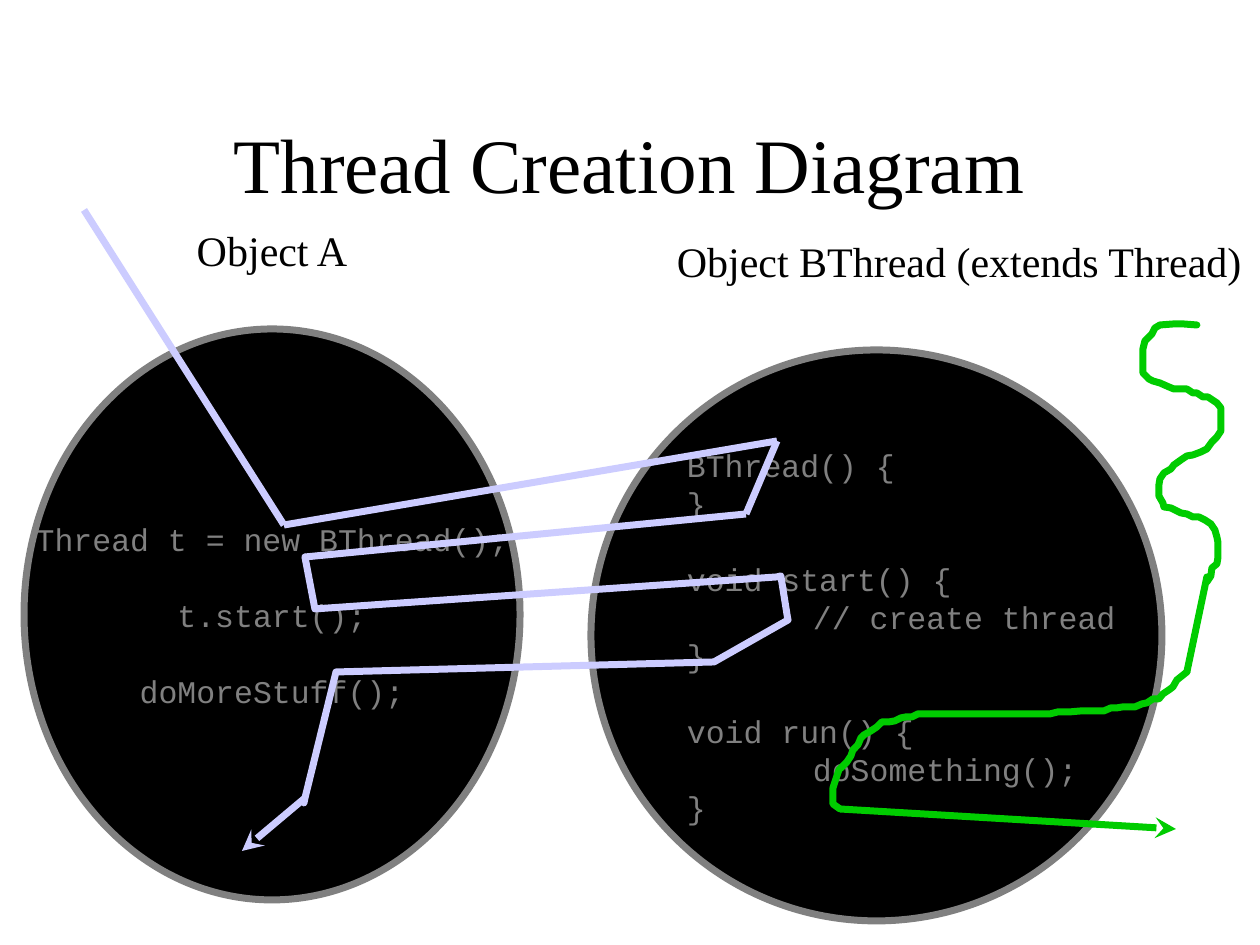
from dataclasses import dataclass

from lxml import etree
from pptx import Presentation
from pptx import util as u
from pptx.dml.color import RGBColor
from pptx.enum import shapes, text
from pptx.oxml.ns import qn

PX = 914400 // 126  # EMU per pixel
Point = tuple[int, int]


@dataclass(frozen=True)
class Theme:
    ink: str = "000000"
    disc: str = "000000"
    code: str = "808080"
    caller: str = "CCCCFF"
    worker: str = "00CC00"
    serif: str = "Times New Roman"
    mono: str = "Courier New"
    title_size: int = 44
    label_size: int = 24
    code_size: int = 18
    code_pitch: float = 21.7
    stroke: int = 4


@dataclass(frozen=True)
class Label:
    wording: str
    box: tuple[int, int, int, int]


@dataclass(frozen=True)
class CodeDisc:
    box: tuple[int, int, int, int]
    blocks: list[list[str]]  # a blank line's height separates blocks
    align: text.PP_ALIGN


@dataclass(frozen=True)
class Trace:
    color: str
    points: list[Point]
    arrow: bool = False


THEME = Theme()
CENTER, LEFT = text.PP_ALIGN.CENTER, text.PP_ALIGN.LEFT

LABELS = [
    Label("Object A", (183, 218, 178, 63)),
    Label("Object BThread (extends Thread) ", (664, 229, 601, 63)),
]

DISCS = [
    CodeDisc((24, 329, 496, 571),
             [["Thread t = new BThread();"], ["t.start();"], ["doMoreStuff();"]], CENTER),
    CodeDisc((591, 350, 571, 571),
             [["BThread() {", "}"],
              ["void start() {", "\t// create thread", "}"],
              ["void run() {", "\tdoSomething();", "}"]], LEFT),
]

# Two points make a straight line, more make an open outline
TRACES = [
    Trace(THEME.caller, [(84, 210), (284, 525)]),
    Trace(THEME.caller, [(777, 441), (284, 525)]),
    Trace(THEME.caller, [(746, 514), (305, 557)]),
    Trace(THEME.caller, [(777, 441), (746, 514)]),
    Trace(THEME.caller, [(305, 557), (315, 609), (777, 577), (781, 576), (788, 620)]),
    Trace(THEME.worker, [
        (1197, 325), (1184, 324), (1173, 324), (1160, 325), (1155, 328), (1152, 334),
        (1145, 341), (1143, 349), (1143, 373), (1149, 379), (1153, 381), (1160, 383),
        (1169, 387), (1174, 389), (1187, 389), (1193, 393), (1197, 393), (1203, 397),
        (1208, 397), (1217, 403), (1221, 408), (1221, 431), (1217, 437), (1212, 442),
        (1207, 449), (1201, 452), (1193, 455), (1187, 456), (1181, 460), (1174, 465),
        (1171, 469), (1164, 473), (1160, 479), (1159, 485), (1159, 496), (1163, 503),
        (1164, 507), (1171, 508), (1181, 513), (1187, 514), (1193, 517), (1199, 517),
        (1205, 520), (1211, 524), (1215, 530), (1217, 537), (1218, 542), (1218, 558),
        (1217, 564), (1212, 568), (1211, 576), (1207, 582), (1207, 577), (1187, 672)]),
    Trace(THEME.caller, [(788, 620), (714, 662), (336, 672), (305, 798), (304, 803),
                         (305, 798)]),
    Trace(THEME.caller, [(305, 798), (242, 851)], arrow=True),
    Trace(THEME.worker, [
        (1187, 672), (1177, 680), (1173, 687), (1169, 690), (1163, 694), (1159, 699),
        (1153, 699), (1147, 703), (1142, 704), (1135, 707), (1123, 707), (1117, 708),
        (1111, 708), (1104, 711), (1081, 711), (1070, 712), (1058, 712), (1050, 714),
        (918, 714), (912, 717), (906, 717), (901, 718), (895, 721), (889, 722),
        (882, 722), (877, 727), (871, 731), (864, 735), (861, 738), (858, 745),
        (853, 750), (851, 756), (847, 762), (843, 766), (839, 770), (837, 776),
        (835, 782), (833, 788), (833, 804), (840, 809)]),
    Trace(THEME.worker, [(840, 809), (1176, 829)], arrow=True),
]


def emu(*pixels: int) -> list[int]:
    return [value * PX for value in pixels]


def write(para, wording: str, *, font: str, size: int, color: str, align=CENTER) -> None:
    para.alignment = align
    span = para.add_run()
    span.text = wording
    span.font.name = font
    span.font.size = u.Pt(size)
    span.font.color.rgb = RGBColor.from_string(color)


def stroke(line, color: str) -> None:
    line.color.rgb = RGBColor.from_string(color)
    line.width = u.Pt(THEME.stroke)


def add_title(page, wording: str) -> None:
    title = page.shapes.title
    title.left, title.top, title.width, title.height = emu(94, 84, 1071, 158)
    title.text_frame.vertical_anchor = text.MSO_ANCHOR.MIDDLE
    write(title.text_frame.paragraphs[0], wording,
          font=THEME.serif, size=THEME.title_size, color=THEME.ink)


def add_label(page, label: Label) -> None:
    frame = page.shapes.add_textbox(*emu(*label.box)).text_frame
    frame.word_wrap = False
    frame.auto_size = text.MSO_AUTO_SIZE.SHAPE_TO_FIT_TEXT
    write(frame.paragraphs[0], label.wording,
          font=THEME.serif, size=THEME.label_size, color=THEME.ink)


def add_disc(page, disc: CodeDisc) -> None:
    shape = page.shapes.add_shape(shapes.MSO_SHAPE.OVAL, *emu(*disc.box))
    shape.shadow.inherit = False
    shape.fill.solid()
    shape.fill.fore_color.rgb = RGBColor.from_string(THEME.disc)
    stroke(shape.line, THEME.code)
    frame = shape.text_frame
    frame.word_wrap = False
    frame.vertical_anchor = text.MSO_ANCHOR.MIDDLE
    para = None
    for block in disc.blocks:
        for row, wording in enumerate(block):
            starts_gap = row == 0 and para is not None
            para = frame.paragraphs[0] if para is None else frame.add_paragraph()
            para.line_spacing = u.Pt(THEME.code_pitch)
            para.space_before = u.Pt(THEME.code_pitch if starts_gap else 0)
            write(para, wording, font=THEME.mono, size=THEME.code_size,
                  color=THEME.code, align=disc.align)
            if wording.startswith("\t"):
                stops = etree.SubElement(para._p.get_or_add_pPr(), qn("a:tabLst"))
                etree.SubElement(stops, qn("a:tab"), pos=str(u.Inches(1)), algn="l")


def add_trace(page, trace: Trace) -> None:
    start, *rest = trace.points
    if len(rest) == 1:
        shape = page.shapes.add_connector(
            shapes.MSO_CONNECTOR.STRAIGHT, *emu(*start, *rest[0]))
        stroke(shape.line, trace.color)
        if trace.arrow:
            etree.SubElement(shape.line._get_or_add_ln(), qn("a:tailEnd"), type="stealth")
        etree.SubElement(shape._element.spPr, qn("a:effectLst"))
        return
    builder = page.shapes.build_freeform(*start, scale=PX)
    builder.add_line_segments(rest, close=False)
    shape = builder.convert_to_shape()
    shape.shadow.inherit = False
    shape.fill.background()
    stroke(shape.line, trace.color)
    shape.line._get_or_add_ln().set("cap", "rnd")


deck = Presentation()
deck.slide_width, deck.slide_height = u.Inches(10), u.Inches(7.5)
page = deck.slides.add_slide(deck.slide_layouts[5])

# Title, objects and their names
add_title(page, "Thread Creation Diagram")
for disc in DISCS:
    add_disc(page, disc)
for label in LABELS:
    add_label(page, label)

# Paths of the two threads
for trace in TRACES:
    add_trace(page, trace)

deck.save("out.pptx")
